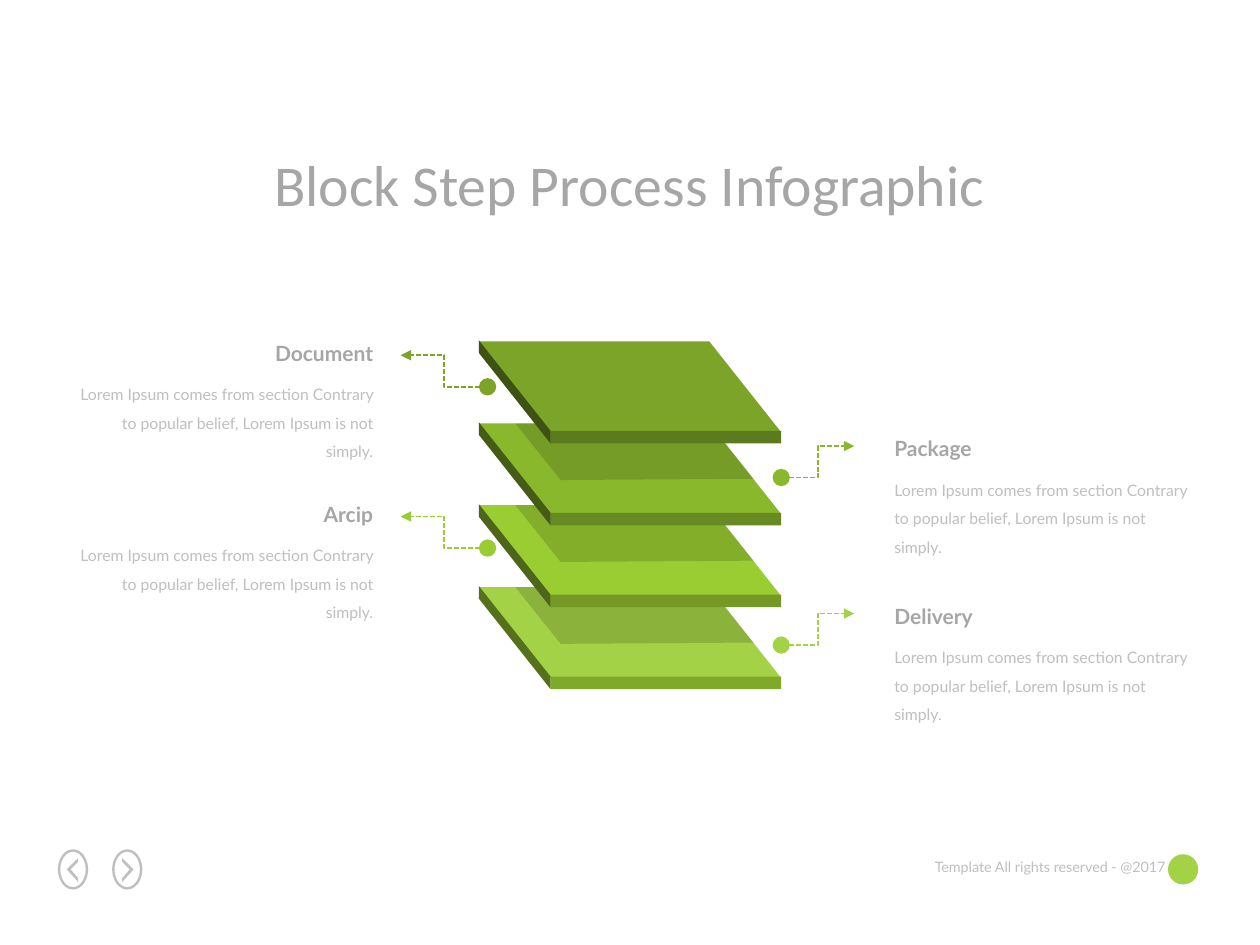
from lxml import etree
from pptx import Presentation
from pptx.dml.color import RGBColor
from pptx.enum.dml import MSO_LINE
from pptx.enum.shapes import MSO_CONNECTOR, MSO_SHAPE
from pptx.enum.text import MSO_ANCHOR, MSO_AUTO_SIZE, PP_ALIGN
from pptx.oxml.ns import qn
from pptx.util import Inches, Pt

LIGHT_GRAY = RGBColor(0xBF, 0xBF, 0xBF)
GRAY = RGBColor(0xA6, 0xA6, 0xA6)
BLACK = RGBColor(0, 0, 0)
OLIVE = RGBColor(0x7B, 0xA4, 0x28)
LEAF = RGBColor(0x8A, 0xB8, 0x2D)
LIME = RGBColor(0x9A, 0xCD, 0x32)
PALE_LIME = RGBColor(0xA4, 0xD2, 0x46)

# Top face, left side and front edge of each slab, from top to bottom
SLABS = [
    (OLIVE, RGBColor(0x3E, 0x52, 0x14), RGBColor(0x5C, 0x7B, 0x1E)),
    (LEAF, RGBColor(0x45, 0x5C, 0x17), RGBColor(0x67, 0x8A, 0x22)),
    (LIME, RGBColor(0x4D, 0x66, 0x19), RGBColor(0x74, 0x9A, 0x25)),
    (PALE_LIME, RGBColor(0x55, 0x71, 0x1B), RGBColor(0x7F, 0xA9, 0x29)),
]
# Heading, heading width, top, colour
LEFT_STEPS = [("Document", 0.99, 2.65, OLIVE), ("Arcip", 0.6, 3.93, LIME)]
RIGHT_STEPS = [("Package", 0.83, 3.41, LEAF), ("Delivery", 0.83, 4.74, PALE_LIME)]
DESCRIPTION = ("Lorem Ipsum comes from section Contrary to popular belief, "
               "Lorem Ipsum is not simply.")


def paint(shape, color):
    shape.shadow.inherit = False
    shape.fill.solid()
    shape.fill.fore_color.rgb = color
    shape.line.fill.background()
    return shape


def add_polygon(shapes, left, top, points, color):
    corners = [(Inches(left + x), Inches(top + y)) for x, y in points]
    builder = shapes.build_freeform(*corners[0], scale=1.0)
    builder.add_line_segments(corners[1:], close=True)
    return paint(builder.convert_to_shape(), color)


def add_preset(shapes, preset, left, top, width, height, color):
    shape = shapes.add_shape(preset, Inches(left), Inches(top), Inches(width), Inches(height))
    return paint(shape, color)


def write(shape, text, font_name, size, color, align, bold=False, wrap=False, spacing=None):
    frame = shape.text_frame
    frame.auto_size = MSO_AUTO_SIZE.NONE
    frame.word_wrap = wrap
    frame.vertical_anchor = MSO_ANCHOR.TOP
    paragraph = frame.paragraphs[0]
    paragraph.alignment = align
    if spacing:
        paragraph.line_spacing = spacing
    run = paragraph.add_run()
    run.text = text
    run.font.name = font_name
    run.font.size = Pt(size)
    run.font.bold = bold
    run.font.color.rgb = color


def add_text(slide, left, top, width, height, *content, **style):
    box = slide.shapes.add_textbox(Inches(left), Inches(top), Inches(width), Inches(height))
    write(box, *content, **style)


def add_title(slide, left, top, width, height):
    title = slide.shapes.title
    title.left, title.top = Inches(left), Inches(top)
    title.width, title.height = Inches(width), Inches(height)
    write(title, "Block Step Process Infographic", "Calibri", 33, GRAY, PP_ALIGN.CENTER)


def add_slab(slide, left, top, colors, shaded):
    face, side, front = colors
    shapes = slide.shapes.add_group_shape().shapes
    add_polygon(shapes, left, top, [(0, 0.01), (1.83, 0.01), (2.4, 0.73), (0.57, 0.73)], face)
    add_polygon(shapes, left, top, [(0, 0), (0, 0.1), (0.57, 0.82), (0.57, 0.72)], side)
    add_preset(shapes, MSO_SHAPE.RECTANGLE, left + 0.57, top + 0.72, 1.83, 0.1, front)
    if shaded:
        shade = add_polygon(shapes, left, top,
                            [(0.29, 0.01), (1.83, 0.01), (2.18, 0.45), (0.65, 0.46)], BLACK)
        color = shade.fill._xPr.find(qn("a:solidFill"))[0]
        etree.SubElement(color, qn("a:alpha"), val="15000")


def add_stack(slide, left, top, step):
    for index, colors in reversed(list(enumerate(SLABS))):
        add_slab(slide, left, top + index * step, colors, shaded=index > 0)


def add_pointer(slide, start_x, end_x, end_y, color):
    """Dashed elbow from a dot up to an arrow tip."""
    pointer = slide.shapes.add_connector(MSO_CONNECTOR.ELBOW, Inches(start_x),
                                         Inches(end_y + 0.25), Inches(end_x), Inches(end_y))
    pointer.line.color.rgb = color
    pointer.line.width = Pt(1)
    pointer.line.dash_style = MSO_LINE.SQUARE_DOT
    line = pointer.line._get_or_add_ln()
    etree.SubElement(line, qn("a:headEnd"), type="oval", w="lg", len="lg")
    etree.SubElement(line, qn("a:tailEnd"), type="triangle", w="med", len="med")
    etree.SubElement(pointer._element.spPr, qn("a:effectLst"))


def add_step(slide, left, top, heading, heading_width, align):
    width = 2.57
    heading_left = left + width - heading_width if align == PP_ALIGN.RIGHT else left
    add_text(slide, left, top + 0.28, width, 0.78, DESCRIPTION, "Lato", 9, LIGHT_GRAY,
             align, wrap=True, spacing=1.5)
    add_text(slide, heading_left, top, heading_width, 0.3, heading, "Lato", 12, GRAY,
             align, bold=True)


def add_steps(slide):
    for heading, heading_width, top, color in LEFT_STEPS:
        add_pointer(slide, 3.87, 3.18, top + 0.17, color)
        add_step(slide, 0.49, top, heading, heading_width, PP_ALIGN.RIGHT)
    for heading, heading_width, top, color in RIGHT_STEPS:
        add_pointer(slide, 6.2, 6.78, top + 0.13, color)
        add_step(slide, 7, top, heading, heading_width, PP_ALIGN.LEFT)


def add_arrow_button(slide, left, top, direction):
    """Ringed chevron; direction is -1 for back and 1 for forward."""
    width, height = 0.24, 0.32
    shapes = slide.shapes.add_group_shape().shapes
    ring = add_preset(shapes, MSO_SHAPE.DONUT, left, top, width, height, LIGHT_GRAY)
    ring.adjustments[0] = 0.08
    chevron = [(-0.04, -0.06), (0.02, 0), (-0.04, 0.07), (-0.04, 0.1), (0.05, 0), (-0.04, -0.09)]
    add_polygon(shapes, left + width / 2, top + height / 2,
                [(direction * x, y) for x, y in chevron], LIGHT_GRAY)


def add_footer(slide, top):
    add_arrow_button(slide, 0.46, top, -1)
    add_arrow_button(slide, 0.89, top, 1)
    add_text(slide, 7.25, top + 0.02, 2.1, 0.24, "Template All rights reserved - @2017",
             "Lato", 8.2, LIGHT_GRAY, PP_ALIGN.RIGHT)
    add_preset(slide.shapes, MSO_SHAPE.OVAL, 9.27, top + 0.04, 0.24, 0.24, PALE_LIME)


def main():
    presentation = Presentation()
    presentation.slide_width, presentation.slide_height = Inches(10), Inches(7.5)
    slide = presentation.slides.add_slide(presentation.slide_layouts[5])
    add_title(slide, 1.75, 1.13, 6.49, 0.66)
    add_stack(slide, 3.8, 2.7, 0.65)
    add_steps(slide)
    add_footer(slide, 6.74)
    presentation.save("out.pptx")


if __name__ == "__main__":
    main()
